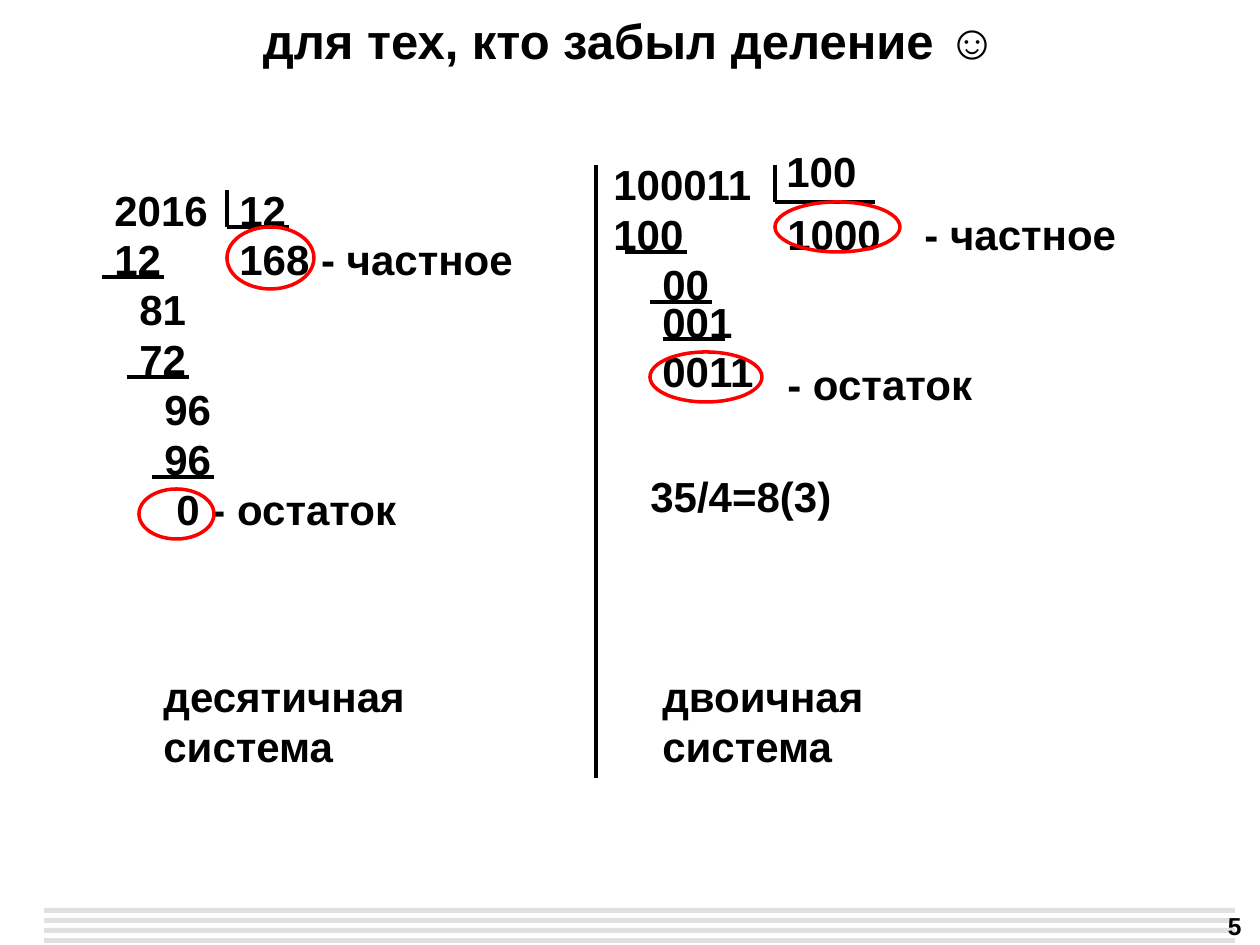
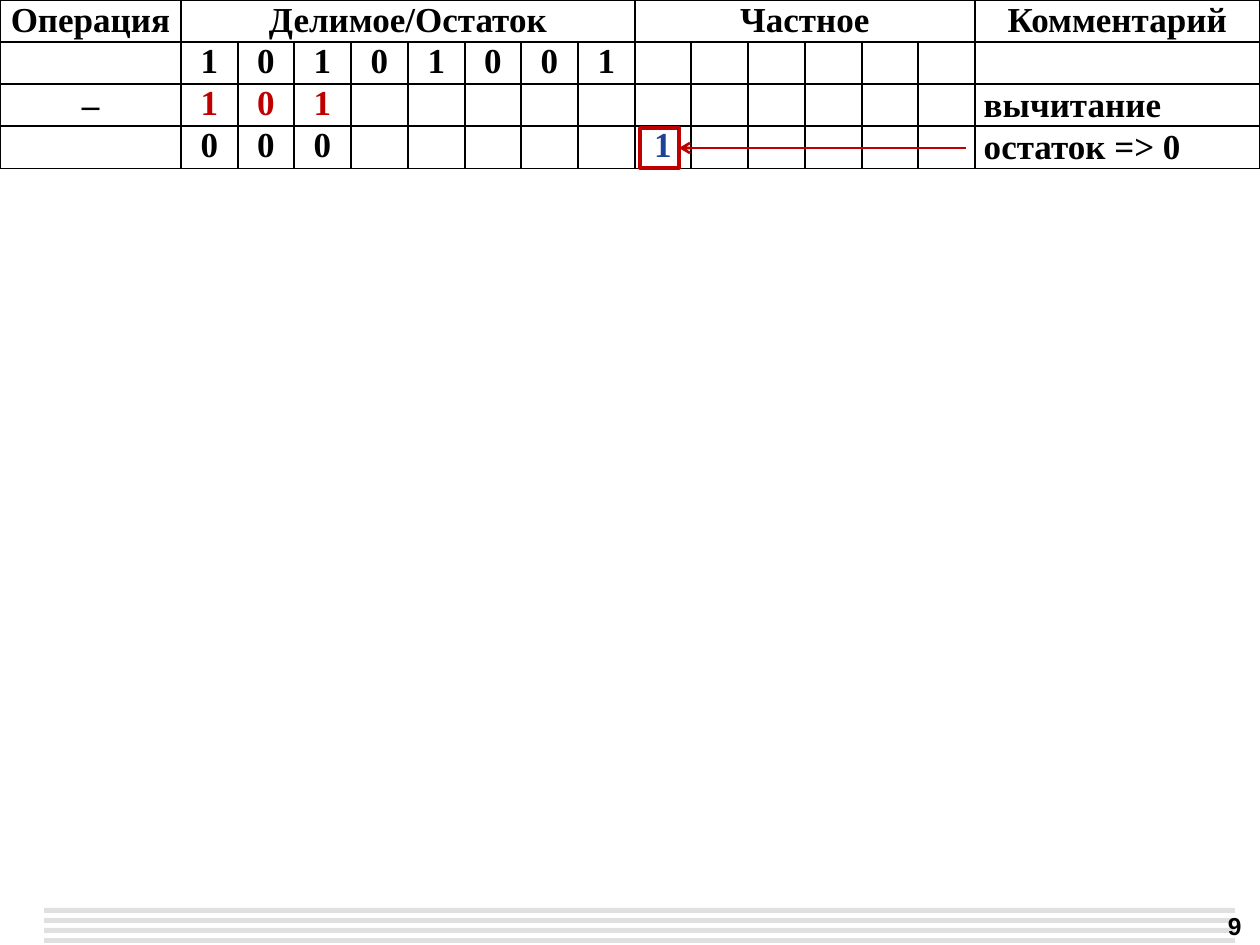
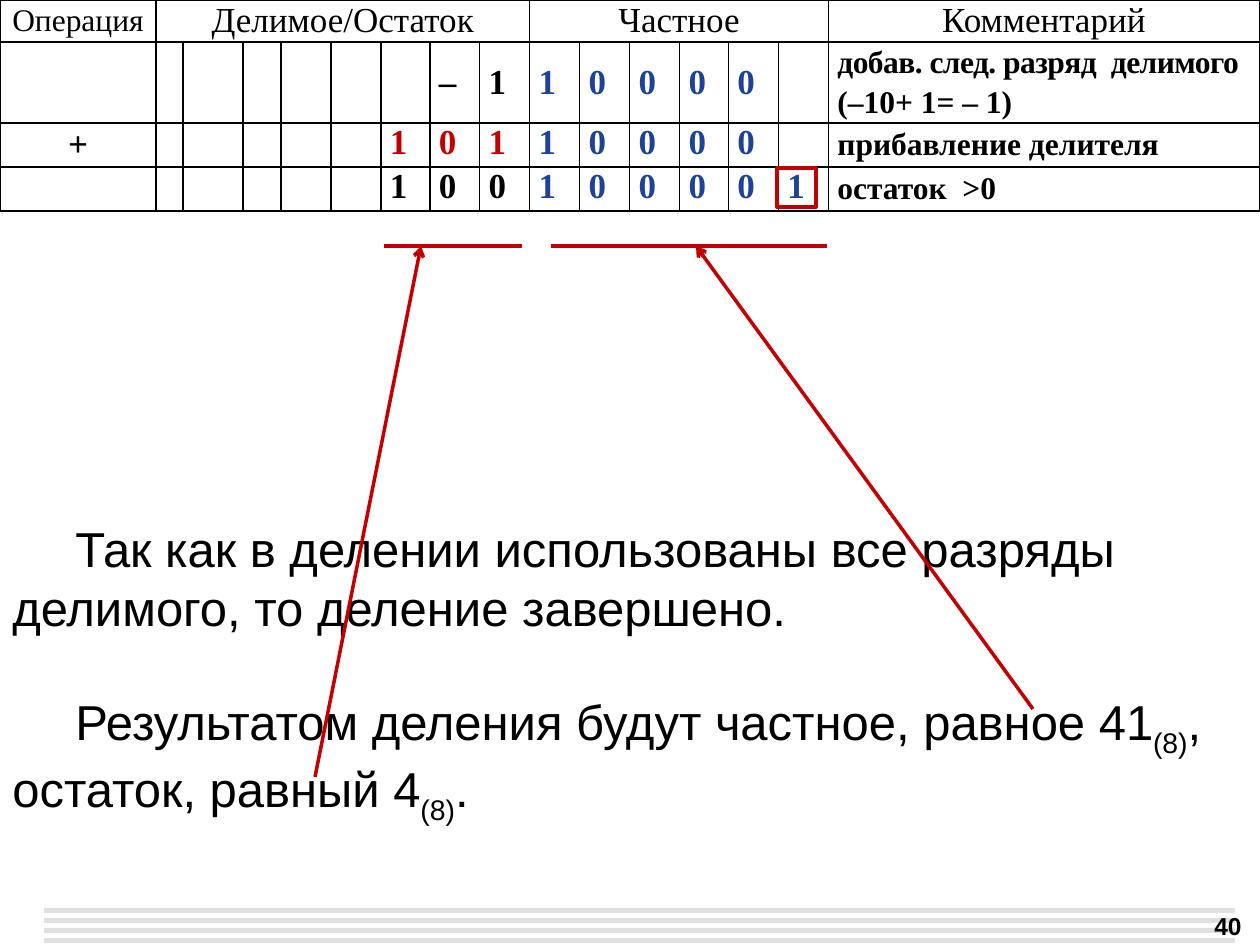
import pptx
import pptx.util
import pptx.dml.color
import pptx.enum.shapes
import pptx.enum.text
import pptx.oxml.ns
import lxml.etree
from dataclasses import dataclass

RGBColor = pptx.dml.color.RGBColor
MSO_SHAPE = pptx.enum.shapes.MSO_SHAPE
ALIGN = pptx.enum.text.PP_ALIGN
ANCHOR = pptx.enum.text.MSO_ANCHOR
Pt = pptx.util.Pt
qn = pptx.oxml.ns.qn

# Shared look
BLACK = RGBColor(0x00, 0x00, 0x00)
BAND_GRAY = RGBColor(0xE0, 0xE0, 0xE0)
BRIGHT_RED = RGBColor(0xFF, 0x00, 0x00)
DARK_RED = RGBColor(0xC0, 0x00, 0x00)
QUOTIENT_BLUE = RGBColor(0x1E, 0x43, 0x96)
SANS = "Arial"
SERIF = "Times New Roman"

EMU_PER_PX = 914400 / 126
SLIDE_W, SLIDE_H = 1260, 945
REMAINDER_DIGITS, QUOTIENT_DIGITS = 8, 6
LINE_H = 63


def px(value):
    return pptx.util.Emu(round(value * EMU_PER_PX))


@dataclass
class Step:
    operation: str
    remainder: str
    quotient: str
    comment: str
    remainder_color: RGBColor = BLACK


# Text
def format_text(frame, size, font=SANS, color=BLACK, bold=True, align=ALIGN.LEFT):
    for paragraph in frame.paragraphs:
        paragraph.alignment = align
        for run in paragraph.runs:
            run.font.size = Pt(size)
            run.font.name = font
            run.font.bold = bold
            run.font.color.rgb = color


def add_text(slide, text, left, top, width, height=LINE_H, size=24, wrap=False, **style):
    box = slide.shapes.add_textbox(px(left), px(top), px(width), px(height))
    frame = box.text_frame
    frame.word_wrap = wrap
    frame.text = text
    format_text(frame, size, **style)
    return frame


# Lines and outlines
def add_line(slide, start, end, color=BLACK, weight=2, arrow=False):
    line = slide.shapes.add_connector(
        pptx.enum.shapes.MSO_CONNECTOR.STRAIGHT, *map(px, (*start, *end)))
    line.line.color.rgb = color
    line.line.width = Pt(weight)
    if arrow:
        tail = lxml.etree.SubElement(line.line._get_or_add_ln(), qn("a:tailEnd"))
        tail.set("type", "arrow")
    lxml.etree.SubElement(line._element.spPr, qn("a:effectLst"))
    return line


def add_outline(slide, kind, left, top, width, height, color):
    outline = slide.shapes.add_shape(kind, *map(px, (left, top, width, height)))
    outline.shadow.inherit = False
    outline.fill.background()
    outline.line.color.rgb = color
    outline.line.width = Pt(2)
    return outline


# Slide with footer bands and number
def add_numbered_slide(deck, number):
    slide = deck.slides.add_slide(deck.slide_layouts[6])
    for index in range(4):
        band = slide.shapes.add_shape(
            MSO_SHAPE.RECTANGLE, px(44), px(908 + 10 * index), px(1191), px(5))
        band.shadow.inherit = False
        band.fill.solid()
        band.fill.fore_color.rgb = BAND_GRAY
        band.line.fill.background()
    add_text(slide, str(number), 975, 905, 279, 42, size=14, wrap=True, align=ALIGN.RIGHT)
    return slide


# Division table
def equal_widths(total, count):
    edges = [round(total * index / count) for index in range(count + 1)]
    return [right - left for left, right in zip(edges, edges[1:])]


def style_cell(cell):
    cell.margin_left = cell.margin_right = px(9)
    cell.margin_top = cell.margin_bottom = 0
    cell.fill.background()
    properties = cell._tc.get_or_add_tcPr()
    for index, side in enumerate(("lnL", "lnR", "lnT", "lnB")):
        border = lxml.etree.Element(qn("a:" + side), w=str(Pt(1)))
        fill = lxml.etree.SubElement(border, qn("a:solidFill"))
        lxml.etree.SubElement(fill, qn("a:srgbClr"), val=str(BLACK))
        properties.insert(index, border)


def fill_cell(cell, text, size, gap, anchor=ANCHOR.MIDDLE, **style):
    if not text:
        return
    cell.vertical_anchor = anchor
    cell.text_frame.text = text
    format_text(cell.text_frame, size, font=SERIF, **style)
    for paragraph in cell.text_frame.paragraphs:
        paragraph.space_after = Pt(gap)


def add_division_table(slide, widths, heights, steps, header_sizes, header_bold,
                       digit_align, comment_size, gap):
    table = slide.shapes.add_table(
        len(heights), len(widths), 0, 0, px(sum(widths)), px(sum(heights))).table
    table.first_row = table.horz_banding = False
    for column, width in zip(table.columns, widths):
        column.width = px(width)
    for row, height in zip(table.rows, heights):
        row.height = px(height)
    for cell in table.iter_cells():
        style_cell(cell)

    quotient_start = 1 + REMAINDER_DIGITS
    comment_column = quotient_start + QUOTIENT_DIGITS
    table.cell(0, 1).merge(table.cell(0, quotient_start - 1))
    table.cell(0, quotient_start).merge(table.cell(0, comment_column - 1))
    headers = ("Операция", "Делимое/Остаток", "Частное", "Комментарий")
    starts = (0, 1, quotient_start, comment_column)
    for column, header, size in zip(starts, headers, header_sizes):
        fill_cell(table.cell(0, column), header, size, gap,
                  bold=header_bold, align=ALIGN.CENTER)

    for row, step in enumerate(steps, start=1):
        anchor = ANCHOR.MIDDLE if "\n" in step.comment else ANCHOR.TOP
        fill_cell(table.cell(row, 0), step.operation, 20, gap, align=ALIGN.CENTER)
        for column, digit in enumerate(step.remainder + step.quotient, start=1):
            color = step.remainder_color if column < quotient_start else QUOTIENT_BLUE
            fill_cell(table.cell(row, column), digit.strip(), 20, gap,
                      anchor=anchor, color=color, align=digit_align)
        fill_cell(table.cell(row, comment_column), step.comment, comment_size, gap)
    return table


# Long division in two number systems
def build_long_division(deck):
    slide = add_numbered_slide(deck, 5)
    add_text(slide, "для тех, кто забыл деление ☺", 0, 4, SLIDE_W, 72,
             size=28, wrap=True, align=ALIGN.CENTER)
    decimal = [
        ("2016", 102, 178, 120), ("12", 227, 178, 73),
        ("168 - частное", 227, 227, 301), ("12", 102, 227, 73),
        ("81", 127, 277, 73), ("72", 127, 327, 73),
        ("96", 152, 377, 73), ("96", 152, 427, 73),
        ("0 - остаток", 164, 477, 247),
    ]
    binary = [
        ("100011", 601, 152, 165), ("100", 774, 139, 96),
        ("1000", 775, 202, 120), ("- частное", 912, 202, 219),
        ("100", 601, 202, 96), ("00", 650, 252, 73),
        ("001", 650, 290, 96), ("0011", 650, 339, 117),
        ("- остаток", 775, 352, 212), ("35/4=8(3)", 638, 464, 208),
    ]
    for text, left, top, width in decimal + binary:
        add_text(slide, text, left, top, width)
    add_text(slide, "десятичная\nсистема", 151, 664, 270, 115)
    add_text(slide, "двоичная\nсистема", 650, 664, 228, 115)

    # Divider between the systems and the two division corners
    add_line(slide, (596, 165), (596, 778))
    for left, top, bottom, right in ((227, 190, 227, 289), (775, 165, 202, 875)):
        add_line(slide, (left, top), (left, bottom))
        add_line(slide, (left, bottom), (right, bottom))

    # Subtraction lines
    for left, y in ((102, 277), (127, 377), (152, 477), (625, 252), (650, 302), (663, 339)):
        add_line(slide, (left, y), (left + 62, y))

    # Quotients and remainders
    for ring in ((227, 227, 87, 62), (139, 489, 75, 50), (775, 202, 125, 50), (650, 352, 112, 50)):
        add_outline(slide, MSO_SHAPE.OVAL, *ring, BRIGHT_RED)


def build_first_step(deck):
    slide = add_numbered_slide(deck, 9)
    steps = [
        Step("", "10101001", "", ""),
        Step("–", "101", "", "вычитание", DARK_RED),
        Step("", "000".ljust(REMAINDER_DIGITS), "1", "остаток => 0"),
    ]
    widths = [181, *equal_widths(794, 14), 285]
    add_division_table(slide, widths, [42] * 4, steps, header_sizes=[20] * 4,
                       header_bold=True, digit_align=ALIGN.CENTER, comment_size=20, gap=2)
    quotient_digit = add_outline(slide, MSO_SHAPE.RECTANGLE, 640, 128, 39, 40, DARK_RED)
    pointer = add_line(slide, (966, 148), (679, 148), DARK_RED, 1.5, arrow=True)
    pointer.end_connect(quotient_digit, 3)


def build_result(deck):
    slide = add_numbered_slide(deck, 40)
    steps = [
        Step("", "–1".rjust(REMAINDER_DIGITS), "10000",
             "добав. след. разряд  делимого\n(–10+ 1= – 1)"),
        Step("+", "101".rjust(REMAINDER_DIGITS), "10000", "прибавление делителя", DARK_RED),
        Step("", "100".rjust(REMAINDER_DIGITS), "100001", "остаток  >0"),
    ]
    widths = [156, 27, 60, 38, *equal_widths(548, 11), 431]
    table = add_division_table(slide, widths, [42, 81, 44, 44], steps,
                               header_sizes=[18, 20, 20, 20], header_bold=False,
                               digit_align=ALIGN.LEFT, comment_size=18, gap=3)
    long_comment = table.cell(1, len(widths) - 1).text_frame.paragraphs[0].runs[0]
    long_comment.font._element.set("spc", "-30")
    add_outline(slide, MSO_SHAPE.RECTANGLE, 777, 168, 39, 39, DARK_RED)

    # Conclusion
    conclusion = add_text(
        slide, "Так как в делении использованы все разряды делимого, то деление завершено.\n",
        0, 512, SLIDE_W, 310, size=28, wrap=True, bold=False)
    result = conclusion.paragraphs[1]
    result.space_before = Pt(32)
    for text in ("Результатом деления будут частное, равное 41", "(8)",
                 ", остаток, равный\u00a04", "(8)", "."):
        run = result.add_run()
        run.text = text
        if text == "(8)":
            run.font._element.set("baseline", "-25000")
    format_text(conclusion, 28, bold=False)
    for paragraph in conclusion.paragraphs:
        properties = paragraph._p.get_or_add_pPr()
        properties.set("marL", "0")
        properties.set("indent", str(px(63)))

    # Remainder and quotient underlined and pointed at
    for left, right in ((384, 522), (551, 827)):
        add_line(slide, (left, 246), (right, 246), DARK_RED)
    for start, end_x in (((1033, 709), 696), ((315, 777), 421)):
        add_line(slide, start, (end_x, 246), DARK_RED, arrow=True)


def main():
    deck = pptx.Presentation()
    deck.slide_width, deck.slide_height = px(SLIDE_W), px(SLIDE_H)
    build_long_division(deck)
    build_first_step(deck)
    build_result(deck)
    deck.save("out.pptx")


if __name__ == "__main__":
    main()
